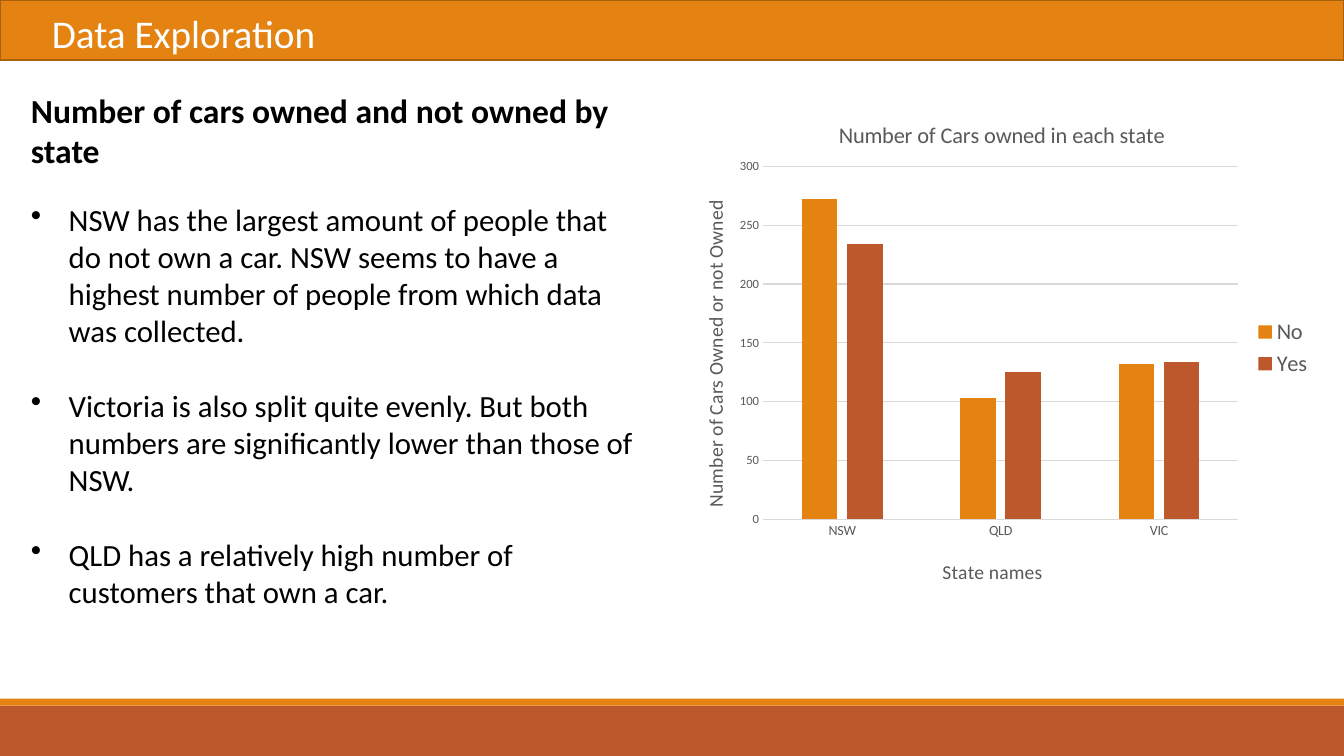
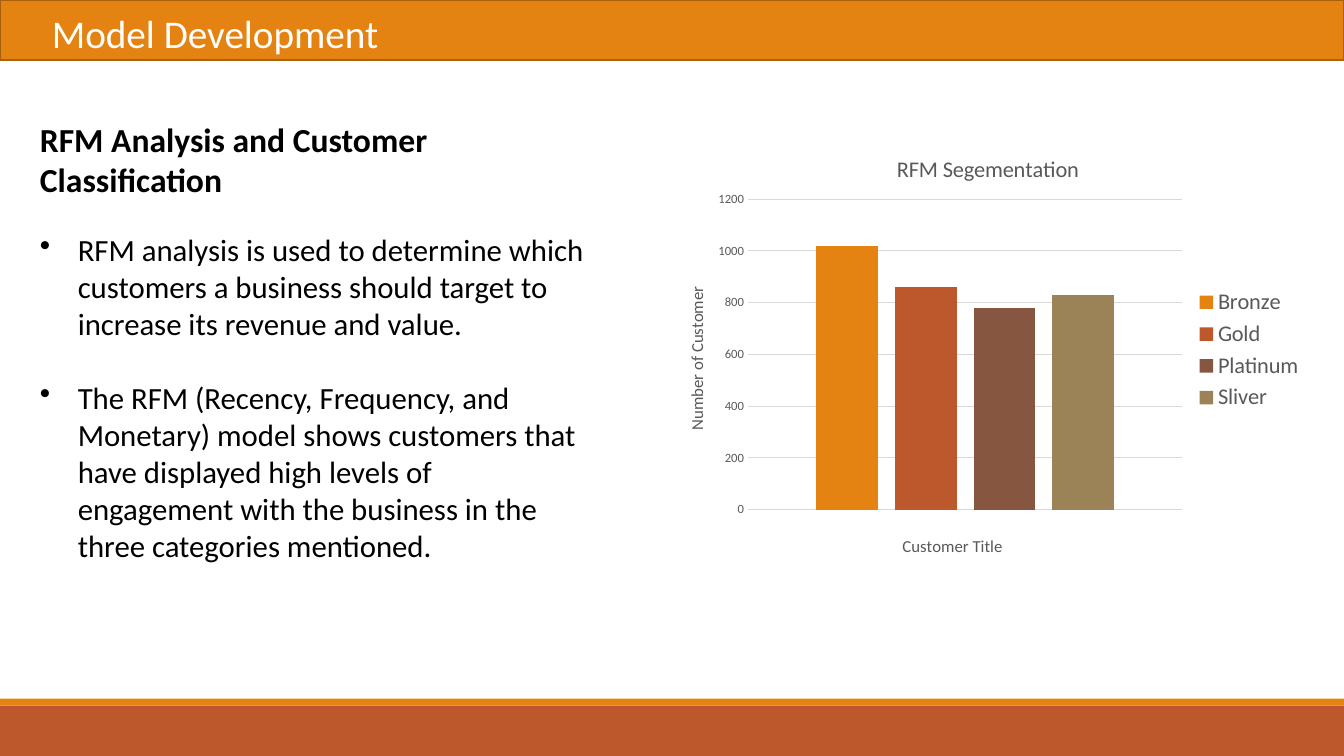
from lxml import etree
from pptx import Presentation
from pptx.chart.data import CategoryChartData
from pptx.dml.color import RGBColor
from pptx.enum.chart import XL_CHART_TYPE as ChartType, XL_LEGEND_POSITION as LegendSide
from pptx.enum.chart import XL_TICK_MARK as Tick
from pptx.enum.shapes import MSO_SHAPE as Shape
from pptx.oxml.ns import qn
from pptx.util import Pt

# Shared look
WIDTH, HEIGHT = 960, 540
FONT = "Calibri"
ORANGE, RUST, BROWN, KHAKI = "E48312", "BD582C", "865640", "9B8357"
SERIES_COLORS = [ORANGE, RUST, BROWN, KHAKI]
BAND_EDGE, BLACK, WHITE, GREY, RULE = "A9610D", "000000", "FFFFFF", "595959", "D9D9D9"
BULLET_INDENT = 27

# Content: boxes are left, top, width, height in points;
# positions inside a chart are fractions of the chart's size
SLIDES = [
    {
        "title": "Data Exploration",
        "heading": "Number of cars owned and not owned by state",
        "bullets": [
            "NSW has the largest amount of people that do not own a car. NSW seems to have "
            "a highest number of people from which data was collected.",
            "Victoria is also split quite evenly. But both numbers are significantly lower "
            "than those of NSW.",
            "QLD has a relatively high number of customers that own a car.",
        ],
        "text_box": (15, 60.5, 453, 380),
        "chart": {
            "box": (480, 68.5, 465, 360),
            "title": ("Number of Cars owned in each state", 16, (0.25, 0.04)),
            "value_title": ("Number of Cars Owned or not Owned", 14, (0.04, 0.2)),
            "category_title": ("State names", 14, (0.41, 0.91)),
            "plot": (0.14, 0.14, 0.73, 0.7),
            "scale": (300, 50),
            "categories": ["NSW", "QLD", "VIC"],
            "category_labels": True,
            "series": {"No": [272, 103, 132], "Yes": [234, 125, 134]},
        },
    },
    {
        "title": "Model Development",
        "heading": "RFM Analysis and Customer Classification",
        "bullets": [
            "RFM analysis is used to determine which customers a business should target to "
            "increase its revenue and value.",
            "The RFM (Recency, Frequency, and Monetary) model shows customers that have "
            "displayed high levels of engagement with the business in the three categories "
            "mentioned.",
        ],
        "text_box": (21.5, 81.5, 407.5, 327),
        "chart": {
            "box": (468.5, 91.5, 470, 317),
            "title": ("RFM Segementation", 16, (0.36, 0.05)),
            "value_title": ("Number of Customer", 12, (0.04, 0.35)),
            "category_title": ("Customer Title", 12, (0.37, 0.91)),
            "plot": (0.14, 0.16, 0.66, 0.7),
            "scale": (1200, 200),
            "categories": ["1"],
            "category_labels": False,
            "series": {"Bronze": [1020], "Gold": [860], "Platinum": [780], "Sliver": [830]},
        },
    },
]


def rgb(value):
    return RGBColor.from_string(value)


def set_font(font, size, color, bold=False):
    font.name, font.size, font.bold = FONT, Pt(size), bold
    font.color.rgb = rgb(color)


def add_band(slide, top, height, color, edge=None):
    band = slide.shapes.add_shape(Shape.RECTANGLE, 0, Pt(top), Pt(WIDTH), Pt(height))
    band.shadow.inherit = False
    band.fill.solid()
    band.fill.fore_color.rgb = rgb(color)
    if edge:
        band.line.color.rgb = rgb(edge)
        band.line.width = Pt(1.25)
    else:
        band.line.fill.background()


def add_text(slide, box, text, size, color, bold=False):
    frame = slide.shapes.add_textbox(*map(Pt, box)).text_frame
    frame.word_wrap = True
    frame.text = text
    set_font(frame.paragraphs[0].font, size, color, bold)
    return frame


def add_bullet(frame, text, gap):
    paragraph = frame.add_paragraph()
    paragraph.text = text
    paragraph.space_before = Pt(gap)
    set_font(paragraph.font, 22, BLACK)
    properties = paragraph._p.get_or_add_pPr()
    properties.set("marL", str(Pt(BULLET_INDENT)))
    properties.set("indent", str(-Pt(BULLET_INDENT)))
    mark = etree.Element(qn("a:buChar"), char="•")
    properties.insert_element_before(mark, "a:tabLst", "a:defRPr", "a:extLst")


def place(element, index, fractions, inner=False):
    """Fix the position of a chart part, as fractions of the chart."""
    for old in element.findall(qn("c:layout")):
        element.remove(old)
    layout = etree.Element(qn("c:layout"))
    manual = etree.SubElement(layout, qn("c:manualLayout"))
    settings = [("layoutTarget", "inner")] if inner else []
    settings += [("xMode", "edge"), ("yMode", "edge")]
    settings += zip("xywh", fractions)
    for tag, value in settings:
        etree.SubElement(manual, qn("c:" + tag), val=str(value))
    element.insert(index, layout)


def write_title(title, text, size, position, upright=False):
    frame = title.text_frame
    frame.text = text
    set_font(frame.paragraphs[0].runs[0].font, size, GREY)
    if upright:
        next(title.element.iter(qn("a:bodyPr"))).set("rot", "-5400000")
    place(title.element, 1, position)


def add_column_chart(slide, content):
    figures = CategoryChartData()
    figures.categories = content["categories"]
    for name, values in content["series"].items():
        figures.add_series(name, values)
    chart = slide.shapes.add_chart(
        ChartType.COLUMN_CLUSTERED, *map(Pt, content["box"]), figures).chart
    set_font(chart.font, 10, BLACK)

    # Columns
    columns = chart.plots[0]
    columns.vary_by_categories = False
    columns.gap_width, columns.overlap = 219, -27
    for series, color in zip(columns.series, SERIES_COLORS):
        series.format.fill.solid()
        series.format.fill.fore_color.rgb = rgb(color)

    # Axes
    states, counts = chart.category_axis, chart.value_axis
    for axis, size in ((states, 10), (counts, 9)):
        axis.major_tick_mark = axis.minor_tick_mark = Tick.NONE
        set_font(axis.tick_labels.font, size, GREY)
    states.visible = content["category_labels"]
    counts.minimum_scale = 0
    counts.maximum_scale, counts.major_unit = content["scale"]
    counts.format.line.fill.background()
    for line in (states.format.line, counts.major_gridlines.format.line):
        line.color.rgb = rgb(RULE)
        line.width = Pt(0.75)

    # Titles, legend and plot position
    write_title(chart.chart_title, *content["title"])
    write_title(states.axis_title, *content["category_title"])
    write_title(counts.axis_title, *content["value_title"], upright=True)
    chart.has_legend = True
    chart.legend.position = LegendSide.RIGHT
    chart.legend.include_in_layout = False
    set_font(chart.legend.font, 16, GREY)
    place(next(chart.element.iter(qn("c:plotArea"))), 0, content["plot"], inner=True)


# Build the slides
deck = Presentation()
deck.slide_width, deck.slide_height = Pt(WIDTH), Pt(HEIGHT)
for content in SLIDES:
    slide = deck.slides.add_slide(deck.slide_layouts[6])
    add_band(slide, 504, 36, RUST)
    add_band(slide, 499, 5, ORANGE)
    add_band(slide, 0, 43, ORANGE, BAND_EDGE)
    add_text(slide, (30, 3, 255, 41), content["title"], 28, WHITE)
    body = add_text(slide, content["text_box"], content["heading"], 24, BLACK, bold=True)
    for number, bullet in enumerate(content["bullets"]):
        add_bullet(body, bullet, gap=27 if number else 22)
    add_column_chart(slide, content["chart"])
deck.save("out.pptx")
